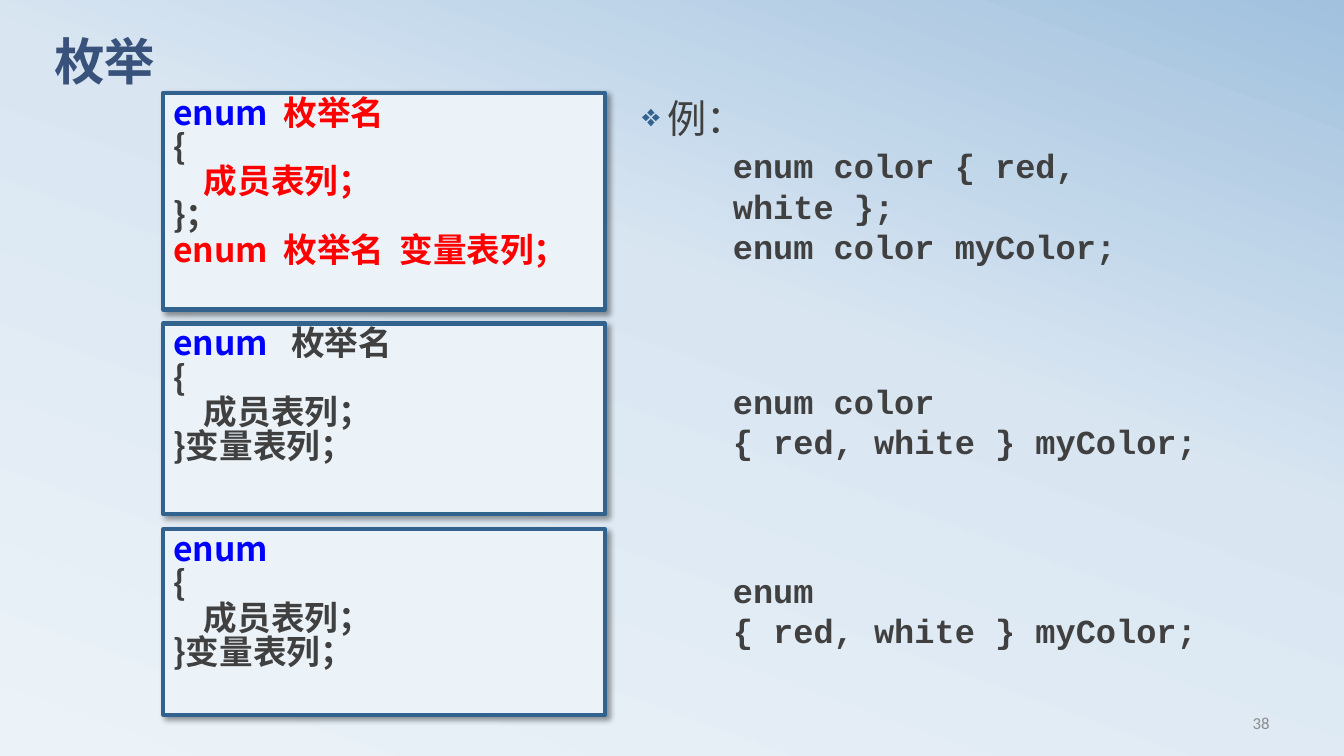
import copy
from dataclasses import dataclass

import pptx
import pptx.dml.color
import pptx.enum.dml
import pptx.enum.shapes
import pptx.enum.text
import pptx.oxml.ns
import pptx.util
from lxml import etree

Inches = pptx.util.Inches
Pt = pptx.util.Pt
qn = pptx.oxml.ns.qn


@dataclass(frozen=True)
class Theme:
    text: str = "404040"
    title: str = "39527B"
    accent: str = "32628E"
    keyword: str = "0000FF"
    highlight: str = "FF0000"
    number: str = "8C8C8C"
    panel: str = "ECF3F8"
    shadow: str = "000000"
    background: tuple = ((0, "ECF3F8"), (0.58, "D9E6F2"), (1, "A1C1DE"))
    title_size: int = 36
    lead_size: int = 28
    body_size: int = 24
    number_size: int = 12
    latin: str = "Calibri"
    chinese: str = "Noto Sans CJK SC"
    code: str = "Courier New"


THEME = Theme()


@dataclass(frozen=True)
class Span:
    text: str
    color: str = THEME.text


@dataclass(frozen=True)
class Syntax:
    top: float
    height: float
    lines: tuple[tuple[Span, ...], ...]


@dataclass(frozen=True)
class Example:
    top: float
    lines: tuple[str, ...]


MEMBERS = "    成员表列；"
OPEN = (Span("{"),)
DECLARED_TAIL = (OPEN, (Span(MEMBERS),), (Span("}变量表列；"),))
SYNTAXES = (
    Syntax(0.92, 2.15, (
        (Span("enum  ", THEME.keyword), Span("枚举名", THEME.highlight)),
        OPEN,
        (Span(MEMBERS, THEME.highlight),),
        (Span("}；"),),
        (Span("enum  枚举名  变量表列；", THEME.highlight),),
    )),
    Syntax(3.21, 1.89, (
        (Span("enum   ", THEME.keyword), Span("枚举名")), *DECLARED_TAIL)),
    Syntax(5.25, 1.84, ((Span("enum", THEME.keyword),), *DECLARED_TAIL)),
)
EXAMPLES = (
    Example(1.39, ("enum color { red, white };", "enum color myColor;")),
    Example(3.73, ("enum color", "{ red, white } myColor;")),
    Example(5.6, ("enum", "{ red, white } myColor;")),
)


def rgb(color: str) -> pptx.dml.color.RGBColor:
    return pptx.dml.color.RGBColor.from_string(color)


def add_run(paragraph, span: Span, size: int, font: str, bold: bool = False) -> None:
    run = paragraph.add_run()
    run.text = span.text
    run.font.size = Pt(size)
    run.font.name = font
    run.font.bold = bold
    run.font.color.rgb = rgb(span.color)
    latin = run.font._element.find(qn("a:latin"))
    east_asian = etree.Element(qn("a:ea"), typeface=THEME.chinese)
    latin.addnext(east_asian)


def set_indent(paragraph, left: float, first: float = 0) -> None:
    properties = paragraph._p.get_or_add_pPr()
    properties.set("marL", str(Inches(left)))
    properties.set("indent", str(Inches(first)))


def next_paragraph(frame, index: int):
    return frame.add_paragraph() if index else frame.paragraphs[0]


def add_text_box(slide, left: float, top: float, width: float, height: float):
    box = slide.shapes.add_textbox(Inches(left), Inches(top), Inches(width), Inches(height))
    box.text_frame.word_wrap = True
    return box.text_frame


def paint_background(slide) -> None:
    fill = slide.background.fill
    fill.gradient()
    fill.gradient_angle = 70
    first = fill.gradient_stops[0]._gs
    first.addnext(copy.deepcopy(first))
    for stop, (position, color) in zip(fill.gradient_stops, THEME.background):
        stop.position = position
        stop.color.rgb = rgb(color)


def add_title(slide, text: str) -> None:
    title = slide.shapes.title
    title.left, title.top = Inches(0.44), Inches(0.36)
    title.width, title.height = Inches(12), Inches(0.94)
    title.text_frame.vertical_anchor = pptx.enum.text.MSO_ANCHOR.TOP
    paragraph = title.text_frame.paragraphs[0]
    paragraph.alignment = pptx.enum.text.PP_ALIGN.LEFT
    paragraph.line_spacing = 0.8
    add_run(paragraph, Span(text, THEME.title), THEME.title_size, THEME.latin, True)


def add_shadow(shape) -> None:
    shape.shadow.inherit = False
    effects = shape._element.spPr.find(qn("a:effectLst"))
    shadow = etree.SubElement(effects, qn("a:outerShdw"), blurRad=str(Pt(4)),
                              dist=str(Pt(3)), dir=str(45 * 60000), rotWithShape="0")
    color = etree.SubElement(shadow, qn("a:srgbClr"), val=THEME.shadow)
    etree.SubElement(color, qn("a:alpha"), val="40000")


def add_syntax(slide, syntax: Syntax) -> None:
    shape = slide.shapes.add_shape(
        pptx.enum.shapes.MSO_SHAPE.RECTANGLE, Inches(1.62), Inches(syntax.top),
        Inches(4.38), Inches(syntax.height))
    shape.fill.solid()
    shape.fill.fore_color.rgb = rgb(THEME.panel)
    shape.line.color.rgb = rgb(THEME.accent)
    shape.line.width = Pt(3)
    add_shadow(shape)
    frame = shape.text_frame
    frame.word_wrap = True
    frame.vertical_anchor = pptx.enum.text.MSO_ANCHOR.TOP
    for index, line in enumerate(syntax.lines):
        paragraph = next_paragraph(frame, index)
        paragraph.alignment = pptx.enum.text.PP_ALIGN.LEFT
        paragraph.line_spacing = 0.85
        set_indent(paragraph, 0.41, -0.41)
        for span in line:
            add_run(paragraph, span, THEME.body_size, THEME.chinese, True)


def add_example(slide, example: Example) -> None:
    frame = add_text_box(slide, 6.67, example.top, 5.51, 0.91)
    frame.auto_size = pptx.enum.text.MSO_AUTO_SIZE.SHAPE_TO_FIT_TEXT
    for index, line in enumerate(example.lines):
        paragraph = next_paragraph(frame, index)
        paragraph.level = 1
        set_indent(paragraph, 0.5)
        add_run(paragraph, Span(line), THEME.body_size, THEME.code, True)


def add_lead(slide, text: str) -> None:
    paragraph = add_text_box(slide, 6.27, 0.94, 1.3, 0.53).paragraphs[0]
    paragraph.line_spacing = 0.9
    set_indent(paragraph, 0.25, -0.25)
    properties = paragraph._p.get_or_add_pPr()
    bullet_color = etree.SubElement(properties, qn("a:buClr"))
    etree.SubElement(bullet_color, qn("a:srgbClr"), val=THEME.accent)
    etree.SubElement(properties, qn("a:buSzPct"), val="80000")
    etree.SubElement(properties, qn("a:buChar"), char="❖")
    add_run(paragraph, Span(text), THEME.lead_size, THEME.chinese)


def add_slide_number(slide, number: str) -> None:
    frame = add_text_box(slide, 9.58, 6.97, 3.11, 0.4)
    frame.vertical_anchor = pptx.enum.text.MSO_ANCHOR.MIDDLE
    paragraph = frame.paragraphs[0]
    paragraph.alignment = pptx.enum.text.PP_ALIGN.RIGHT
    add_run(paragraph, Span(number, THEME.number), THEME.number_size, THEME.latin)


def main() -> None:
    presentation = pptx.Presentation()
    presentation.slide_width, presentation.slide_height = Inches(13.33), Inches(7.5)
    slide = presentation.slides.add_slide(presentation.slide_layouts[5])
    paint_background(slide)
    add_title(slide, "枚举")
    # Syntax forms on the left, matching examples on the right
    for syntax in SYNTAXES:
        add_syntax(slide, syntax)
    add_lead(slide, "例：")
    for example in EXAMPLES:
        add_example(slide, example)
    add_slide_number(slide, "38")
    presentation.save("out.pptx")


if __name__ == "__main__":
    main()
